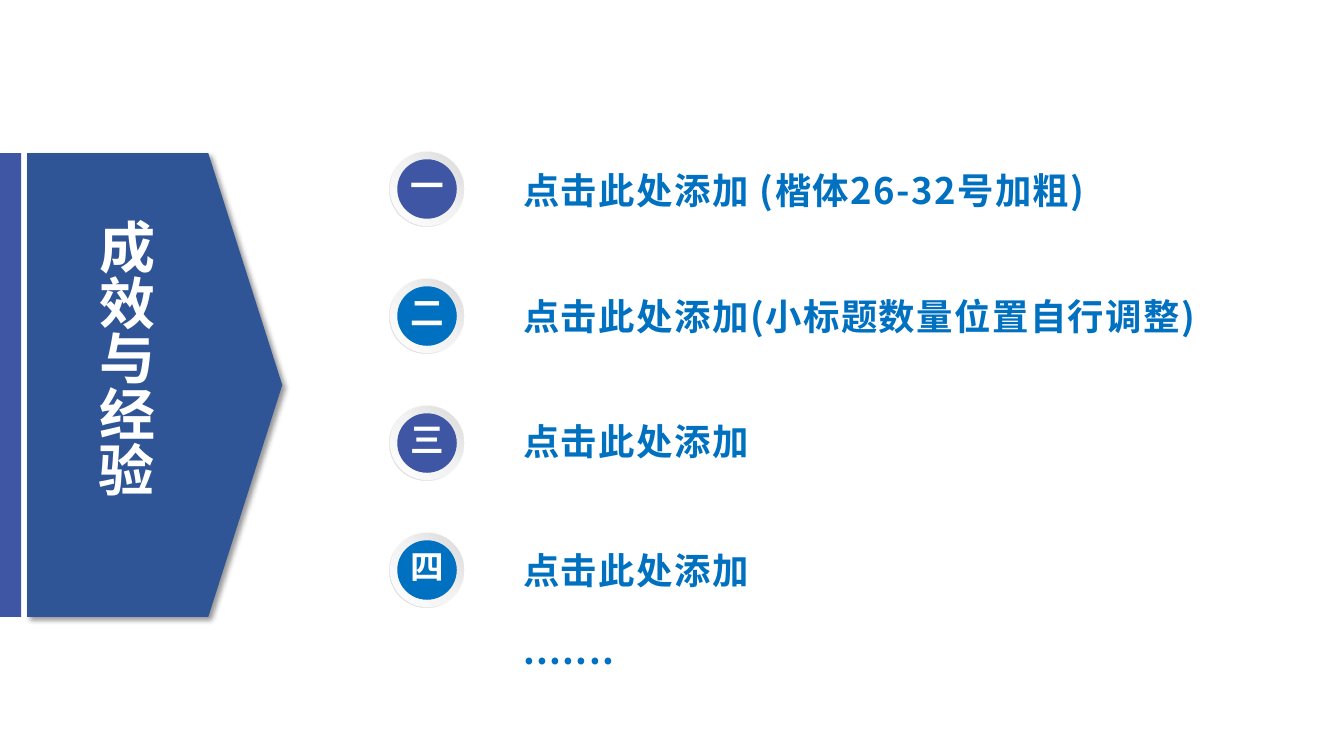
from dataclasses import dataclass

from lxml import etree
from pptx import Presentation
from pptx.dml.color import RGBColor
from pptx.enum.shapes import MSO_SHAPE
from pptx.enum.text import MSO_ANCHOR, MSO_AUTO_SIZE, PP_ALIGN
from pptx.oxml.ns import qn
from pptx.util import Inches, Pt

PENTAGON, DONUT, OVAL = MSO_SHAPE.PENTAGON, MSO_SHAPE.DONUT, MSO_SHAPE.OVAL
TOP, NO_AUTOFIT = MSO_ANCHOR.TOP, MSO_AUTO_SIZE.NONE
LEFT, CENTER = PP_ALIGN.LEFT, PP_ALIGN.CENTER

FONT = "Noto Sans CJK SC"
COLORS = {
    "banner": "2F5597",
    "indigo": "3E56A3",
    "blue": "0070C0",
    "white": "FFFFFF",
    "pale": "F2F2F2",
    "gray": "D9D9D9",
    "shadow": "000000",
}
RING_STOPS = ((0, "pale"), (55, "pale"), (100, "gray"))
DISC_STOPS = ((0, "white"), (51, "pale"), (100, "gray"))

BADGE_LEFT, BADGE_TOP, BADGE_STEP = 3.86, 1.5, 1.26
HEADING_LEFT, HEADING_WIDTH = 5.09, 7.63


@dataclass
class Section:
    numeral: str
    color: str
    heading_top: float
    heading_height: float
    lines: tuple


SECTIONS = (
    Section("一", "indigo", 1.66, 0.54, ("点击此处添加 (楷体26-32号加粗)",)),
    Section("二", "blue", 2.91, 0.97, ("点击此处添加(小标题数量位置自行调整)",)),
    Section("三", "indigo", 4.15, 0.54, ("点击此处添加",)),
    Section("四", "blue", 5.43, 1.41, ("点击此处添加", ".......")),
)


def add_plain(shapes, preset, left: float, top: float, width: float, height: float,
              color: str = "", adjustment=None):
    """Add a borderless shape without a shadow."""
    shape = shapes.add_shape(preset, Inches(left), Inches(top), Inches(width), Inches(height))
    shape.shadow.inherit = False
    shape.line.fill.background()
    if adjustment is not None:
        shape.adjustments[0] = adjustment
    if color:
        shape.fill.solid()
        shape.fill.fore_color.rgb = RGBColor.from_string(COLORS[color])
    return shape


def set_gradient(shape, stops: tuple, angle: int) -> None:
    """Give the shape a linear gradient; the angle runs clockwise."""
    shape.fill.gradient()
    gradient = shape._element.spPr.find(qn("a:gradFill"))
    for child in list(gradient):
        gradient.remove(child)
    stop_list = etree.SubElement(gradient, qn("a:gsLst"))
    for percent, color in stops:
        stop = etree.SubElement(stop_list, qn("a:gs"), pos=str(percent * 1000))
        etree.SubElement(stop, qn("a:srgbClr"), val=COLORS[color])
    etree.SubElement(gradient, qn("a:lin"), ang=str(angle * 60000), scaled="0")


def add_drop_shadow(shape) -> None:
    effects = shape._element.spPr.find(qn("a:effectLst"))
    shadow = etree.SubElement(effects, qn("a:outerShdw"), blurRad=str(Pt(4)),
                              dist=str(Pt(3)), dir=str(45 * 60000), algn="tl", rotWithShape="0")
    tint = etree.SubElement(shadow, qn("a:srgbClr"), val=COLORS["shadow"])
    etree.SubElement(tint, qn("a:alpha"), val="40000")


def write_text(box, lines: tuple, size: int, color: str, spacing: float, alignment=LEFT) -> None:
    """Fill the box with bold lines; letter spacing is in points."""
    frame = box.text_frame
    frame_format = {
        "word_wrap": True, "auto_size": NO_AUTOFIT, "vertical_anchor": TOP,
        "margin_left": Inches(0.1), "margin_right": Inches(0.1),
        "margin_top": Inches(0.08), "margin_bottom": Inches(0.05),
    }
    for name, value in frame_format.items():
        setattr(frame, name, value)
    for index, line in enumerate(lines):
        paragraph = frame.add_paragraph() if index else frame.paragraphs[0]
        paragraph.alignment = alignment
        paragraph.line_spacing = 0.83
        paragraph.space_before = Pt(31 if index else 0)
        run = paragraph.add_run()
        run.text = line
        for name, value in {"size": Pt(size), "bold": True, "name": FONT}.items():
            setattr(run.font, name, value)
        run.font.color.rgb = RGBColor.from_string(COLORS[color])
        properties = run._r.get_or_add_rPr()
        properties.set("spc", str(int(spacing * 100)))
        etree.SubElement(properties, qn("a:ea"), typeface=FONT)


def add_banner(slide) -> None:
    banner = add_plain(slide.shapes, PENTAGON, 0.27, 1.52, 2.53, 4.6, "banner", 0.29)
    add_drop_shadow(banner)
    title = slide.shapes.title
    title.left, title.top = Inches(0.68), Inches(2.14)
    title.width, title.height = Inches(1.15), Inches(3.47)
    write_text(title, ("成效与经验",), 40, "white", -1.5, CENTER)
    banner._element.addnext(title._element)
    add_plain(slide.shapes, PENTAGON, 0, 1.52, 0.21, 4.6, "indigo", 0)


def add_badge(slide, section: Section, top: float) -> None:
    shapes = slide.shapes.add_group_shape().shapes
    ring = add_plain(shapes, DONUT, BADGE_LEFT, top, 0.75, 0.75, adjustment=0.05)
    set_gradient(ring, RING_STOPS, 135)
    disc = add_plain(shapes, OVAL, BADGE_LEFT + 0.01, top + 0.01, 0.73, 0.73)
    set_gradient(disc, DISC_STOPS, 315)
    add_plain(shapes, OVAL, BADGE_LEFT + 0.08, top + 0.08, 0.59, 0.59, section.color)
    numeral = shapes.add_textbox(Inches(BADGE_LEFT + 0.11), Inches(top + 0.12),
                                 Inches(0.39), Inches(0.5))
    write_text(numeral, (section.numeral,), 24, "white", 1)


def add_heading(slide, section: Section) -> None:
    heading = slide.shapes.add_textbox(Inches(HEADING_LEFT), Inches(section.heading_top),
                                       Inches(HEADING_WIDTH), Inches(section.heading_height))
    write_text(heading, section.lines, 26, "blue", 1)


def main() -> None:
    presentation = Presentation()
    presentation.slide_width, presentation.slide_height = Inches(13.33), Inches(7.5)
    slide = presentation.slides.add_slide(presentation.slide_layouts[5])
    add_banner(slide)
    for section in SECTIONS:
        add_heading(slide, section)
    for index, section in enumerate(SECTIONS):
        add_badge(slide, section, BADGE_TOP + index * BADGE_STEP)
    presentation.save("out.pptx")


if __name__ == "__main__":
    main()
